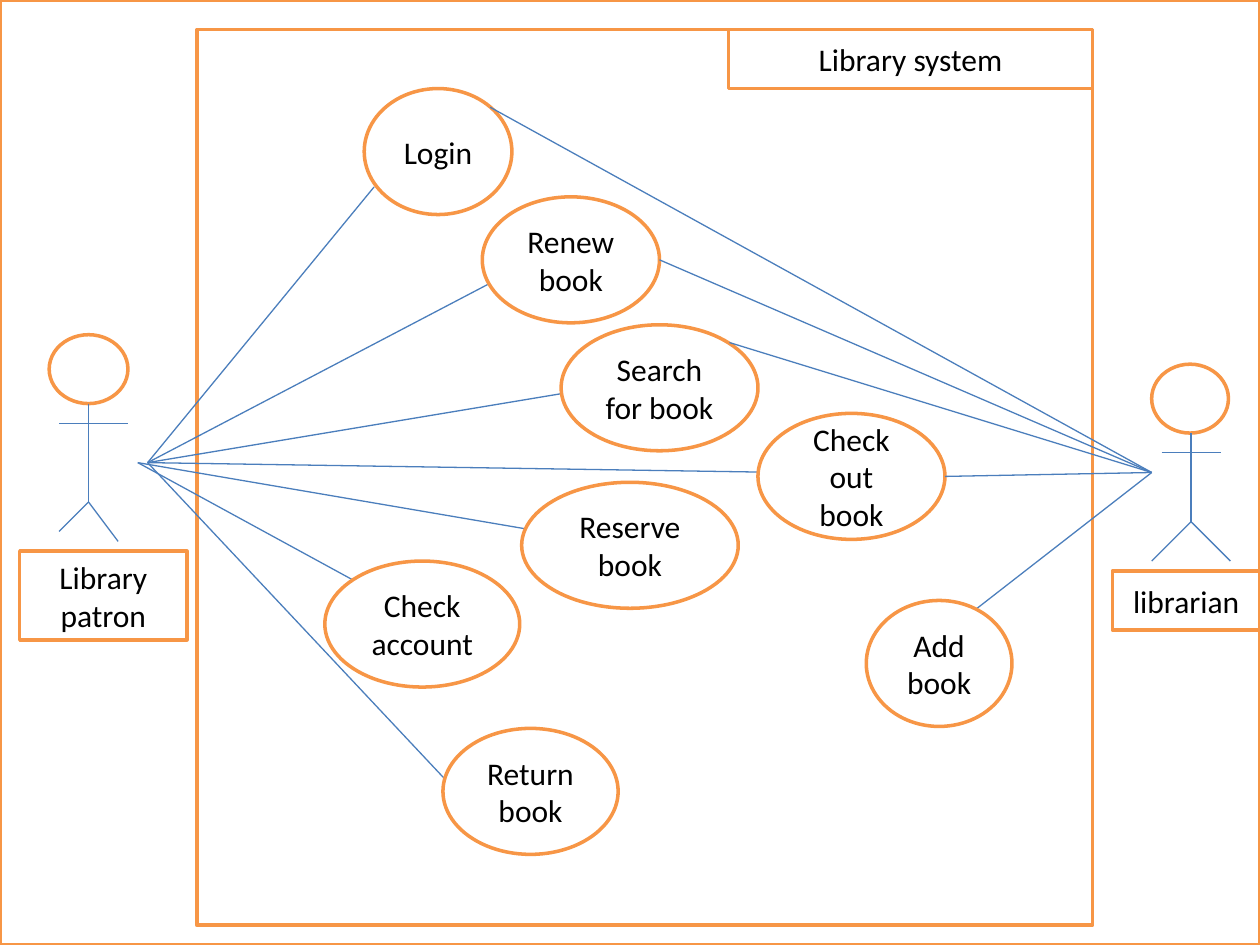
"""Build a use case diagram of a library system."""
import pptx
import pptx.dml.color
import pptx.enum.shapes
import pptx.enum.text
import pptx.oxml.ns
import pptx.util
import lxml.etree

COLORS = {"paper": "FFFFFF", "outline": "F79646", "link": "4B7EBC", "ink": "000000"}
SHAPES = pptx.enum.shapes.MSO_SHAPE
COLUMNS = 128
CASE_ROWS = 12.8
LIBRARIAN_HUB = (117, 48)

PATRON_CASES = [
    ("Login", (37, 9, 15), (15, 47), (38, 19)),
    ("Renew book", (49, 20, 18), (15, 47), (57, 25)),
    ("Search for book", (57, 33, 20), (15, 47), (57, 40)),
    ("Check out book", (77, 42, 19), (15, 47), (80, 48)),
    ("Reserve book", (53, 49, 22), (14, 47), (55, 54)),
    ("Check account", (33, 57, 19.8), (14, 47), (36, 59)),
    ("Return book", (45, 74, 17.8), (15, 47), (46, 80)),
]
LIBRARIAN_ENDS = [(49.8, 10.9), (67, 26.4), (74.1, 34.8), (96, 48.4), (99, 62)]


def grid(cells):
    return pptx.util.Inches(cells * 10 / COLUMNS)


def color(name):
    return pptx.dml.color.RGBColor.from_string(COLORS[name])


def write(shape, text, size=18, font="Calibri", ink="ink"):
    frame = shape.text_frame
    frame.word_wrap = True
    frame.vertical_anchor = pptx.enum.text.MSO_ANCHOR.MIDDLE
    paragraph = frame.paragraphs[0]
    paragraph.alignment = pptx.enum.text.PP_ALIGN.CENTER
    run = paragraph.add_run()
    run.text = text
    run.font.size = pptx.util.Pt(size)
    run.font.name = font
    run.font.color.rgb = color(ink)


def outlined(slide, kind, box, text=None):
    shape = slide.shapes.add_shape(kind, *map(grid, box))
    shape.shadow.inherit = False
    shape.fill.solid()
    shape.fill.fore_color.rgb = color("paper")
    shape.line.color.rgb = color("outline")
    shape.line.width = pptx.util.Pt(2)
    if text:
        write(shape, text)


def link(slide, start, end):
    line = slide.shapes.add_connector(
        pptx.enum.shapes.MSO_CONNECTOR.STRAIGHT, *map(grid, start + end))
    line.line.color.rgb = color("link")
    line.line.width = pptx.util.Pt(0.75)
    lxml.etree.SubElement(
        line._element.spPr, pptx.oxml.ns.qn("a:effectLst"))


def use_case(slide, name, place):
    outlined(slide, SHAPES.OVAL, place + (CASE_ROWS,), name)


def actor(slide, head, neck, hip, feet, arms):
    outlined(slide, SHAPES.OVAL, head)
    link(slide, neck, hip)
    for foot in feet:
        link(slide, hip, foot)
    link(slide, *arms)


def main():
    deck = pptx.Presentation()
    deck.slide_width, deck.slide_height = grid(COLUMNS), grid(96)
    slide = deck.slides.add_slide(deck.slide_layouts[6])

    outlined(slide, SHAPES.RECTANGLE, (0, 0, COLUMNS, 96))
    outlined(slide, SHAPES.RECTANGLE, (20, 3, 91, 91))

    for name, place, hand, edge in PATRON_CASES:
        link(slide, hand, edge)
        use_case(slide, name, place)
    for edge in LIBRARIAN_ENDS:
        link(slide, LIBRARIAN_HUB, edge)
    use_case(slide, "Add book", (88, 61, 14.8))

    actor(slide, head=(117, 37, 7.8, 7), neck=(121, 44), hip=(121, 53),
          feet=[(125, 57), (117, 57)], arms=[(118, 46), (124, 46)])
    actor(slide, head=(5, 34, 8, 7), neck=(9, 41), hip=(9, 51),
          feet=[(12, 55), (6, 54)], arms=[(6, 43), (13, 43)])

    for text, box in [("Library patron", (2, 56, 17, 9)),
                      ("librarian", (113, 58, 15, 6)),
                      ("Library system", (74, 3, 37, 6))]:
        outlined(slide, SHAPES.RECTANGLE, box, text)

    deck.save("out.pptx")


main()
